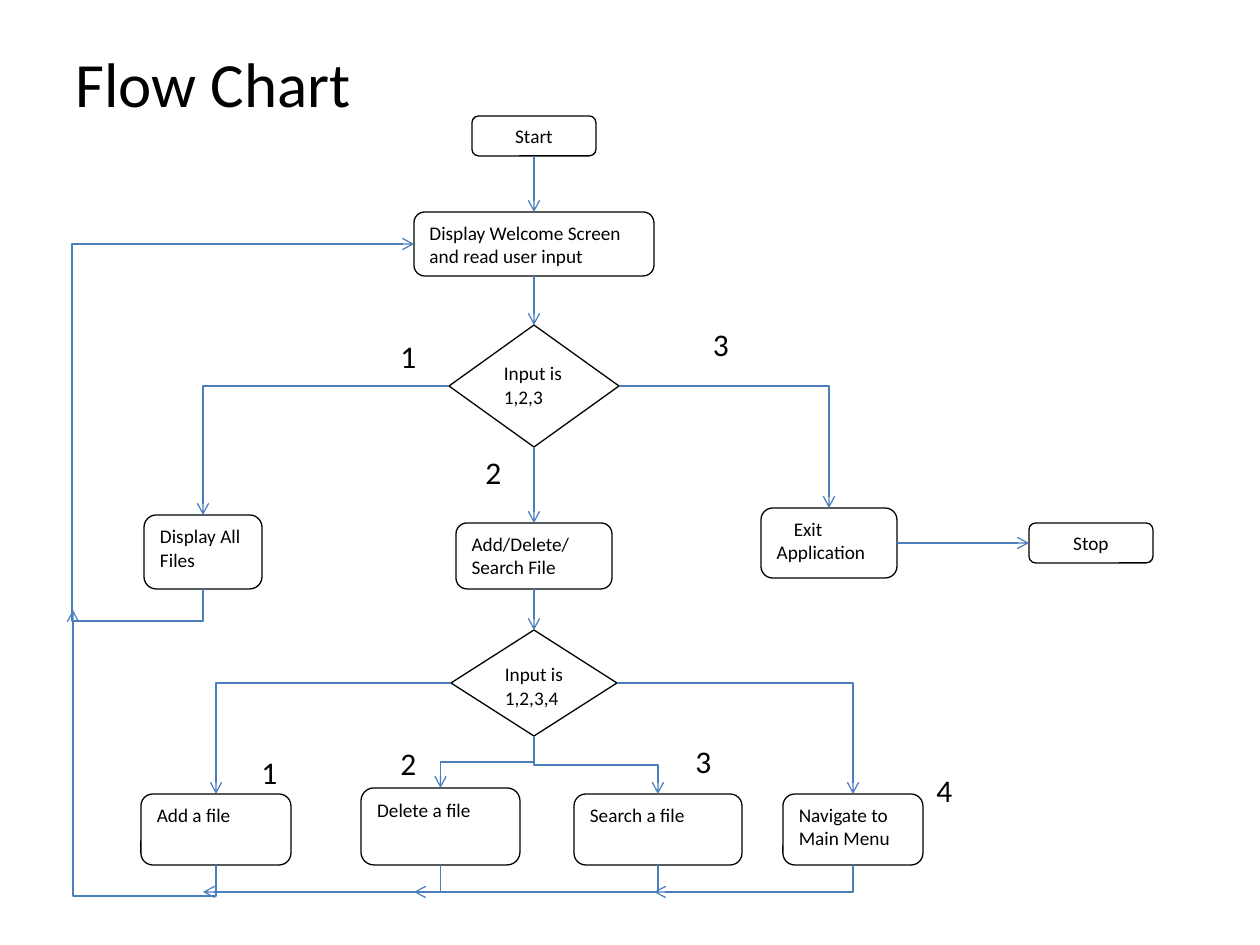
from pptx import Presentation, util as u
from pptx.dml.color import RGBColor
from pptx.enum import shapes, text
from pptx.oxml import ns
from lxml import etree

SCALE = 914400 / 126
BLACK, WHITE, BLUE = "000000", "FFFFFF", "4B7EBC"
ROUND, DIAMOND = shapes.MSO_SHAPE.ROUNDED_RECTANGLE, shapes.MSO_SHAPE.DIAMOND

TITLE = ("Flow Chart", (63, 38, 1134, 158))
NODES = {
    "start": (ROUND, (472, 116, 124, 40), "Start"),
    "welcome": (ROUND, (414, 212, 240, 64), "Display Welcome Screen and read user input"),
    "main choice": (DIAMOND, (449, 325, 170, 122), "Input is 1,2,3"),
    "display": (ROUND, (144, 515, 118, 74), "Display All Files"),
    "edit": (ROUND, (456, 523, 156, 66), "Add/Delete/Search File"),
    "file choice": (DIAMOND, (451, 630, 166, 106), "Input is 1,2,3,4"),
    "exit": (ROUND, (761, 508, 136, 70), "Exit Application"),
    "add": (ROUND, (141, 794, 150, 71), "Add a file"),
    "delete": (ROUND, (361, 788, 159, 77), "Delete a file"),
    "search": (ROUND, (574, 794, 168, 71), "Search a file"),
    "navigate": (ROUND, (783, 794, 140, 71), "Navigate to Main Menu"),
    "stop": (ROUND, (1029, 523, 124, 40), "Stop"),
}
CENTRED = ("start", "stop")
INDENTS = {"exit": 17}
LINKS = [
    ("start", "bottom", ("welcome", "top"), []),
    ("welcome", "bottom", ("main choice", "top"), []),
    ("main choice", "bottom", ("edit", "top"), []),
    ("edit", "bottom", ("file choice", "top"), []),
    ("exit", "right", ("stop", "left"), []),
    ("main choice", "left", ("display", "top"), []),
    ("main choice", "right", ("exit", "top"), []),
    ("file choice", "left", ("add", "top"), []),
    ("file choice", "right", ("navigate", "top"), []),
    ("file choice", "bottom", ("delete", "top"), [762]),
    ("file choice", "bottom", ("search", "top"), [765]),
    ("display", "bottom", ("welcome", "left"), [621, 72]),
    ("add", "bottom", (73, 610), [896]),
    ("delete", "bottom", (203, 892), []),
    ("search", "bottom", (414, 892), []),
    ("navigate", "bottom", (654, 892), []),
]
LABELS = [
    ("1", 388, 331, 67), ("2", 473, 447, 42), ("3", 713, 319, 11),
    ("4", 924, 765, 42), ("3", 683, 736, 52), ("2", 388, 738, 67), ("1", 249, 747, 42),
]
LABEL_HEIGHT = 50
SIDES = {"top": (0.5, 0), "bottom": (0.5, 1), "left": (0, 0.5), "right": (1, 0.5)}


def px(value):
    return u.Emu(round(value * SCALE))


def color(value):
    return RGBColor.from_string(value)


def write(shape, words, size=11, align=text.PP_ALIGN.LEFT, after=0, indent=0, grow=False):
    frame = shape.text_frame
    frame.word_wrap = True
    frame.vertical_anchor = text.MSO_ANCHOR.TOP
    if grow:
        frame.auto_size = text.MSO_AUTO_SIZE.SHAPE_TO_FIT_TEXT
    para = frame.paragraphs[0]
    para.alignment = align
    para.space_after = u.Pt(after)
    if indent:
        para._p.get_or_add_pPr().set("indent", str(px(indent)))
    span = para.add_run()
    span.text = words
    span.font.name = "Calibri"
    span.font.size = u.Pt(size)
    span.font.color.rgb = color(BLACK)


def add_text(page, words, place, **style):
    write(page.shapes.add_textbox(*map(px, place)), words, **style)


def add_node(page, name, kind, place, words):
    box = page.shapes.add_shape(kind, *map(px, place))
    box.shadow.inherit = False
    box.fill.solid()
    box.fill.fore_color.rgb = color(WHITE)
    box.line.color.rgb = color(BLACK)
    box.line.width = u.Pt(0.75)
    align = text.PP_ALIGN.CENTER if name in CENTRED else text.PP_ALIGN.LEFT
    write(box, words, align=align, after=10, indent=INDENTS.get(name, 0))


def anchor(name, side):
    left, top, width, height = NODES[name][1]
    across, down = SIDES[side]
    return left + width * across, top + height * down


def route(start, end, axis, turns):
    points = [start]
    for turn in turns:
        corner = list(points[-1])
        corner[axis] = turn
        points.append(corner)
        axis = 1 - axis
    if all(a != b for a, b in zip(points[-1], end)):
        corner = list(points[-1])
        corner[axis] = end[axis]
        points.append(corner)
    return points + [end]


def bend(link, points, axis):
    start, end = points[0], points[-1]
    delta = [end[0] - start[0], end[1] - start[1]]
    width, height = abs(delta[axis]), abs(delta[1 - axis])
    link.left = px((start[0] + end[0] - width) / 2)
    link.top = px((start[1] + end[1] - height) / 2)
    link.width, link.height = px(width), px(height)
    first = (points[1][axis] - start[axis]) / delta[axis]
    flips = [delta[axis] < 0, delta[1] < 0 if axis == 0 else delta[0] > 0]
    turn = 90 * axis
    if flips[0] != flips[1] and first > 0:
        flips.reverse()
        turn += 180
    frame = link._element.spPr.find(ns.qn("a:xfrm"))
    frame.set("rot", str(turn * 60000))
    for key, flip in zip(("flipH", "flipV"), flips):
        frame.set(key, str(int(flip)))
    shape = link._element.spPr.find(ns.qn("a:prstGeom"))
    shape.set("prst", f"bentConnector{len(points) - 1}")
    ratios = []
    if len(points) > 3:
        ratios.append(first)
    if len(points) > 4:
        ratios.append((points[2][1 - axis] - start[1 - axis]) / delta[1 - axis])
    for number, ratio in enumerate(ratios, 1):
        guide = etree.SubElement(shape.find(ns.qn("a:avLst")), ns.qn("a:gd"))
        guide.set("name", f"adj{number}")
        guide.set("fmla", f"val {round(ratio * 100000)}")


def add_link(page, source, side, target, turns):
    start = anchor(source, side)
    end = anchor(*target) if target[0] in NODES else target
    axis = 1 if side in ("top", "bottom") else 0
    points = route(start, end, axis, turns)
    straight = len(points) == 2
    kind = shapes.MSO_CONNECTOR.STRAIGHT if straight else shapes.MSO_CONNECTOR.ELBOW
    link = page.shapes.add_connector(kind, *map(px, (*start, *end)))
    if not straight:
        bend(link, points, axis)
    link.line.color.rgb = color(BLUE)
    link.line.width = u.Pt(0.75)
    etree.SubElement(link.line._get_or_add_ln(), ns.qn("a:tailEnd")).set("type", "arrow")
    etree.SubElement(link._element.spPr, ns.qn("a:effectLst"))


deck = Presentation()
deck.slide_width, deck.slide_height = px(1260), px(945)
page = deck.slides.add_slide(deck.slide_layouts[6])
for name, node in NODES.items():
    add_node(page, name, *node)
add_text(page, *TITLE, size=36)
for link in LINKS:
    add_link(page, *link)
for words, left, top, width in LABELS:
    add_text(page, words, (left, top, width, LABEL_HEIGHT), size=18, grow=True)
deck.save("out.pptx")
